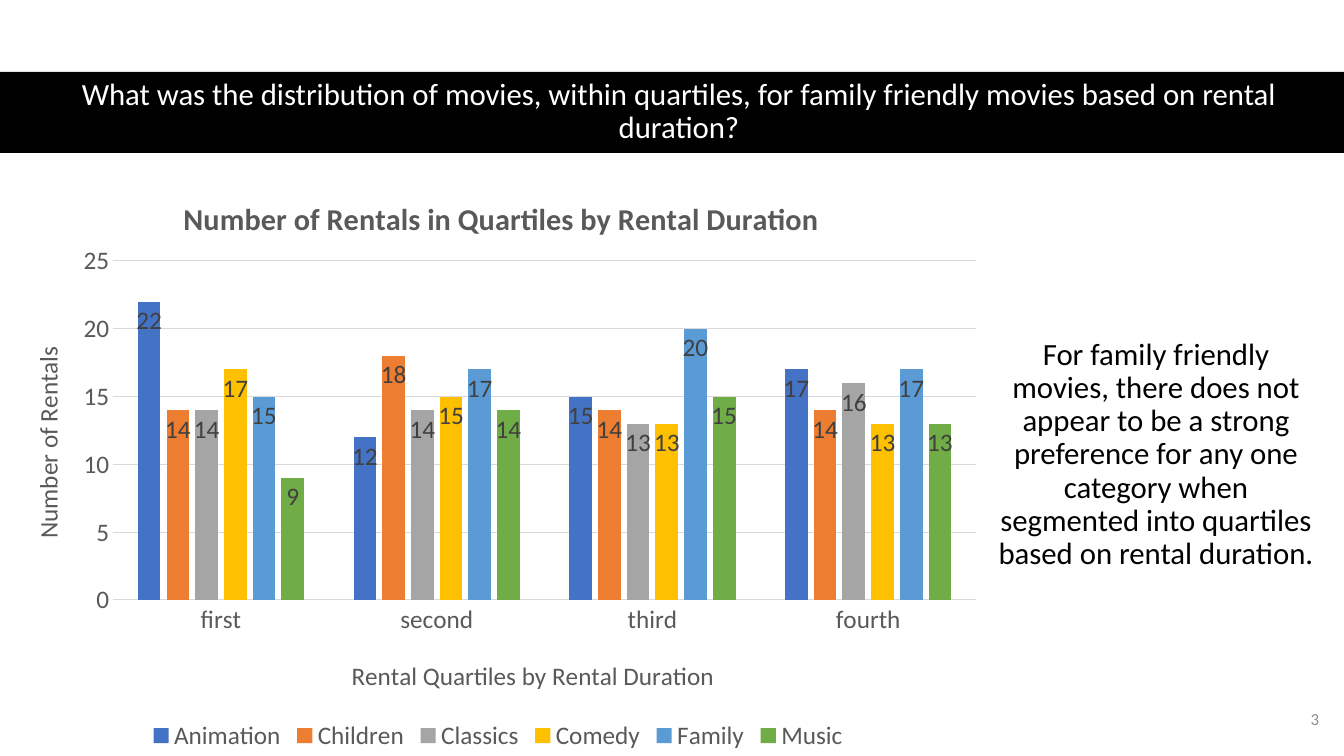
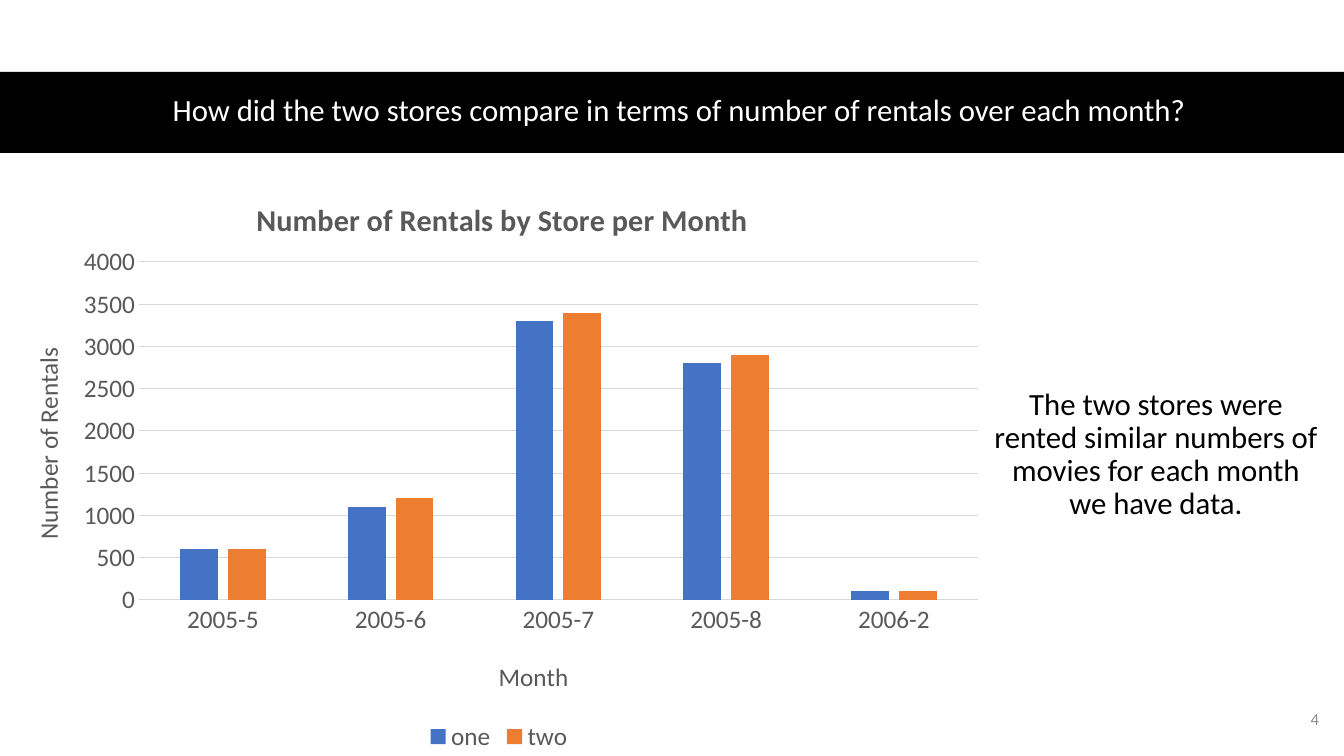
from lxml import etree
from pptx import Presentation
from pptx.chart.data import CategoryChartData
from pptx.dml.color import RGBColor
from pptx.enum.chart import XL_CHART_TYPE, XL_LABEL_POSITION, XL_LEGEND_POSITION, XL_TICK_MARK
from pptx.enum.shapes import MSO_SHAPE
from pptx.enum.text import MSO_ANCHOR, PP_ALIGN
from pptx.oxml import parse_xml
from pptx.oxml.ns import nsdecls, qn
from pptx.util import Pt

HUES = {"black": "000000", "white": "FFFFFF", "page": "8C8C8C", "gray": "595959",
        "label": "404040", "grid": "D9D9D9"}
BARS = ["4472C4", "ED7D31", "A5A5A5", "FFC000", "5B9BD5", "70AD47"]
WIDE, HIGH = 1344, 756
SCALE = 914400 / 100.8

SLIDES = [
    {"page": "3",
     "head": "What was the distribution of movies, within quartiles, for family "
             "friendly movies based on rental duration?",
     "body": "For family friendly movies, there does not appear to be a strong preference "
             "for any one category when segmented into quartiles based on rental duration.",
     "box": (0, 168, 996, 588),
     "plot": (113, 261, 863, 339),
     "title": ("Number of Rentals in Quartiles by Rental Duration", 178, 192),
     "across": ("Rental Quartiles by Rental Duration", 347, 654),
     "up": ("Number of Rentals", 26, 342),
     "scale": (25, 5),
     "labels": True,
     "cats": ["first", "second", "third", "fourth"],
     "rows": {"Animation": (22, 12, 15, 17), "Children": (14, 18, 14, 14),
              "Classics": (14, 14, 13, 16), "Comedy": (17, 15, 13, 13),
              "Family": (15, 17, 20, 17), "Music": (9, 14, 15, 13)}},
    {"page": "4",
     "head": "How did the two stores compare in terms of number of rentals over each month?",
     "body": "The two stores were rented similar numbers of movies for each month we have data.",
     "box": (0, 170, 998, 587),
     "plot": (139, 262, 839, 338),
     "title": ("Number of Rentals by Store per Month", 251, 193),
     "across": ("Month", 494, 655),
     "up": ("Number of Rentals", 26, 343),
     "scale": (4000, 500),
     "labels": False,
     "cats": ["2005-5", "2005-6", "2005-7", "2005-8", "2006-2"],
     "rows": {"one": (600, 1100, 3300, 2800, 100),
              "two": (600, 1200, 3400, 2900, 100)}},
]

FLOW = {"alignment": PP_ALIGN.CENTER, "line_spacing": 0.9, "space_after": Pt(6)}
TEXTS = {
    "head": ((61, 71, 1236, 82), 22, "white", FLOW),
    "body": ((983, 154, 346, 602), 22, "black", FLOW),
    "page": ((1027, 699, 302, 40), 12, "page", {"alignment": PP_ALIGN.RIGHT}),
}


def px(*sizes):
    return [round(size * SCALE) for size in sizes]


def put(item, **values):
    for name, value in values.items():
        setattr(item, name, value)


def tint(font, size, hue, bold=False):
    put(font, name="Calibri", size=Pt(size), bold=bold)
    font.color.rgb = RGBColor.from_string(HUES[hue])


def rule(line):
    line.width = Pt(0.75)
    line.color.rgb = RGBColor.from_string(HUES["grid"])


def write(slide, text, box, size, hue, form):
    frame = slide.shapes.add_textbox(*px(*box)).text_frame
    put(frame, word_wrap=True, vertical_anchor=MSO_ANCHOR.MIDDLE)
    para = frame.paragraphs[0]
    put(para, **form)
    run = para.add_run()
    run.text = text
    tint(run.font, size, hue)


def place(node, box, spot, inner=False):
    left, top, wide, high = box
    parts = {"x": (spot[0] - left) / wide, "y": (spot[1] - top) / high}
    tags = [("xMode", "edge"), ("yMode", "edge")]
    if inner:
        tags.insert(0, ("layoutTarget", "inner"))
        parts.update(w=spot[2] / wide, h=spot[3] / high)
    tags += [(tag, f"{part:.4f}") for tag, part in parts.items()]
    frame = node.find(qn("c:layout"))
    if frame is None:
        frame = parse_xml(f"<c:layout {nsdecls('c')}/>")
        node.insert(0, frame)
    manual = etree.SubElement(frame, qn("c:manualLayout"))
    for tag, value in tags:
        etree.SubElement(manual, qn("c:" + tag)).set("val", value)


def name(title, data, box, size, bold=False, turn=False):
    text, *spot = data
    frame = title.text_frame
    frame.text = text
    tint(frame.paragraphs[0].runs[0].font, size, "gray", bold)
    if turn:
        body = title._element.find(".//" + qn("a:bodyPr"))
        body.set("rot", "-5400000")
        body.set("vert", "horz")
    place(title._element, box, spot)


def graph(slide, page):
    data = CategoryChartData()
    data.categories = page["cats"]
    for key, row in page["rows"].items():
        data.add_series(key, row)
    box = page["box"]
    chart = slide.shapes.add_chart(XL_CHART_TYPE.COLUMN_CLUSTERED, *px(*box), data).chart
    tint(chart.font, 18, "black")
    put(chart, has_title=True, has_legend=True)
    name(chart.chart_title, page["title"], box, 21.6, bold=True)
    put(chart.legend, position=XL_LEGEND_POSITION.BOTTOM, include_in_layout=False)
    tint(chart.legend.font, 18, "gray")
    across, up = chart.category_axis, chart.value_axis
    for axis, key in ((across, "across"), (up, "up")):
        put(axis, has_title=True, major_tick_mark=XL_TICK_MARK.NONE,
            minor_tick_mark=XL_TICK_MARK.NONE)
        tint(axis.tick_labels.font, 18, "gray")
        name(axis.axis_title, page[key], box, 18, turn=axis is up)
    top, step = page["scale"]
    put(up, minimum_scale=0, maximum_scale=top, major_unit=step, has_major_gridlines=True)
    rule(across.format.line)
    rule(up.major_gridlines.format.line)
    up.format.line.fill.background()
    plot = chart.plots[0]
    put(plot, gap_width=219, overlap=-27, vary_by_categories=False)
    for bar, hue in zip(plot.series, BARS):
        bar.format.fill.solid()
        bar.format.fill.fore_color.rgb = RGBColor.from_string(hue)
        if page["labels"]:
            put(bar.data_labels, show_value=True, position=XL_LABEL_POSITION.INSIDE_END)
            tint(bar.data_labels.font, 18, "label")
    place(chart._chartSpace.find(".//" + qn("c:plotArea")), box, page["plot"], inner=True)


def band(slide):
    shape = slide.shapes.add_shape(MSO_SHAPE.RECTANGLE, *px(0, 72, WIDE, 81))
    shape.shadow.inherit = False
    shape.fill.solid()
    shape.fill.fore_color.rgb = RGBColor.from_string(HUES["black"])
    shape.line.fill.background()


deck = Presentation()
deck.slide_width, deck.slide_height = px(WIDE, HIGH)
for page in SLIDES:
    slide = deck.slides.add_slide(deck.slide_layouts[6])
    band(slide)
    for key, form in TEXTS.items():
        write(slide, page[key], *form)
    graph(slide, page)
deck.save("out.pptx")
